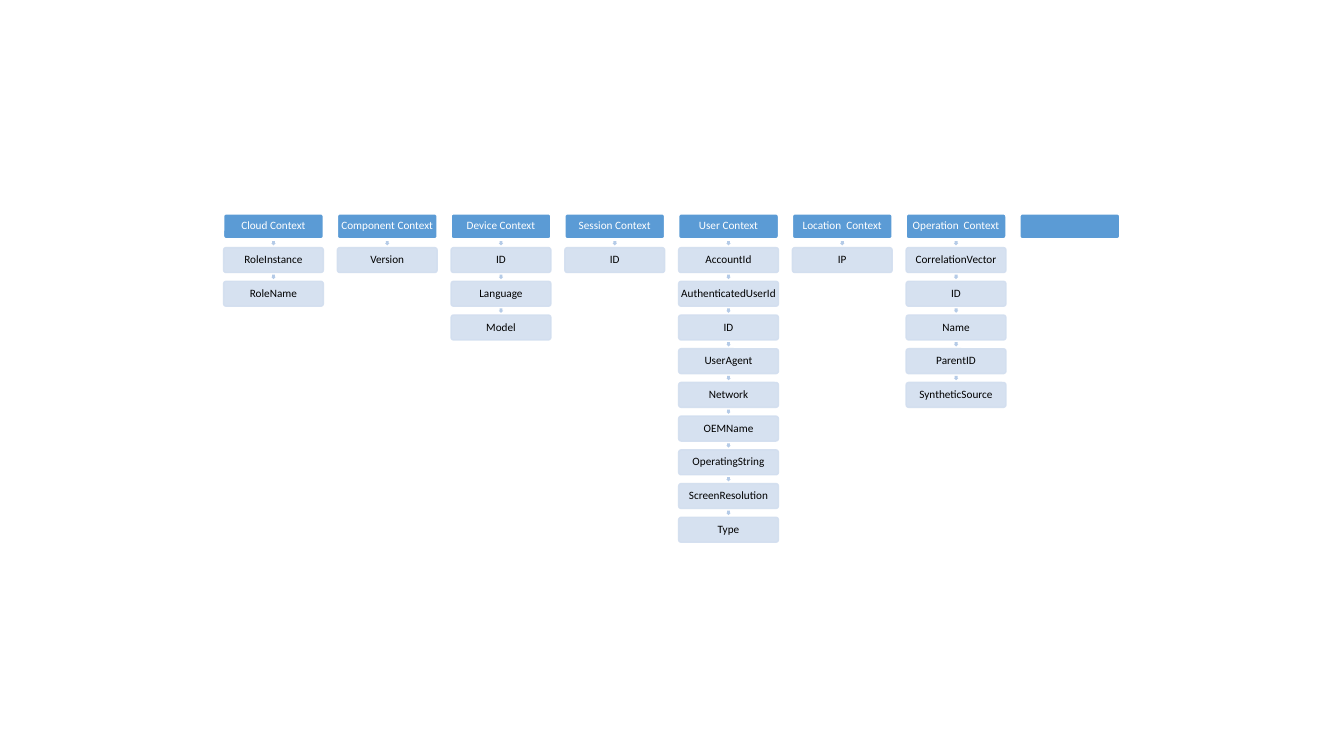
from lxml import etree
from pptx import Presentation
from pptx.dml.color import RGBColor
from pptx.enum.shapes import MSO_SHAPE
from pptx.enum.text import MSO_ANCHOR, PP_ALIGN
from pptx.oxml.ns import qn
from pptx.util import Pt

ROUNDED = MSO_SHAPE.ROUNDED_RECTANGLE
ARROW = MSO_SHAPE.RIGHT_ARROW
MIDDLE = MSO_ANCHOR.MIDDLE
CENTER = PP_ALIGN.CENTER

COLORS = {
    "header": "5B9BD5",
    "property": "D2DEEF",
    "arrow": "B5CBE7",
    "white": "FFFFFF",
    "black": "000000",
}

SLIDE_WIDTH, SLIDE_HEIGHT = 960, 540
LEFT, TOP = 159.7, 152.8
COLUMN_PITCH, ROW_PITCH = 81.26, 24.08
BOX_WIDTH, BOX_HEIGHT = 71.3, 17.8
ARROW_SIZE = 3.12

CONTEXTS = [
    ("Cloud Context", ["RoleInstance", "RoleName"]),
    ("Component Context", ["Version"]),
    ("Device Context", ["ID", "Language", "Model"]),
    ("Session Context", ["ID"]),
    ("User Context", ["AccountId", "AuthenticatedUserId", "ID", "UserAgent",
                      "Network", "OEMName", "OperatingString",
                      "ScreenResolution", "Type"]),
    ("Location  Context", ["IP"]),
    ("Operation  Context", ["CorrelationVector", "ID", "Name", "ParentID",
                            "SyntheticSource"]),
    ("", []),
]


def rgb(name):
    return RGBColor.from_string(COLORS[name])


def set_opacity(shape, percent):
    """Apply the opacity to both the fill and the outline."""
    for color in shape._element.spPr.iter(qn("a:srgbClr")):
        etree.SubElement(color, qn("a:alpha"), val=str(percent * 1000))


def write_text(shape, text, *, color, size=8, font="Calibri", margin=1):
    frame = shape.text_frame
    frame.word_wrap = True
    frame.vertical_anchor = MIDDLE
    frame.margin_left = frame.margin_right = Pt(margin)
    frame.margin_top = frame.margin_bottom = Pt(margin)
    paragraph = frame.paragraphs[0]
    paragraph.alignment = CENTER
    paragraph.line_spacing = 0.9
    run = paragraph.add_run()
    run.text = text
    run.font.name = font
    run.font.size = Pt(size)
    run.font.color.rgb = rgb(color)


def add_box(slide, left, top, text, *, fill, line, text_color, opacity=100):
    box = slide.shapes.add_shape(
        ROUNDED, Pt(left), Pt(top), Pt(BOX_WIDTH), Pt(BOX_HEIGHT))
    box.shadow.inherit = False
    box.adjustments[0] = 0.1
    box.fill.solid()
    box.fill.fore_color.rgb = rgb(fill)
    box.line.color.rgb = rgb(line)
    box.line.width = Pt(1)
    if opacity < 100:
        set_opacity(box, opacity)
    if text:
        write_text(box, text, color=text_color)


def add_down_arrow(slide, center_x, center_y):
    arrow = slide.shapes.add_shape(
        ARROW, Pt(center_x - ARROW_SIZE / 2), Pt(center_y - ARROW_SIZE / 2),
        Pt(ARROW_SIZE), Pt(ARROW_SIZE))
    arrow.shadow.inherit = False
    arrow.rotation = 90
    arrow.adjustments[0] = 0.667
    arrow.adjustments[1] = 0.5
    arrow.fill.solid()
    arrow.fill.fore_color.rgb = rgb("arrow")
    arrow.line.fill.background()


def add_context(slide, left, title, properties):
    """Draw a header with its chain of properties below."""
    add_box(slide, left, TOP, title,
            fill="header", line="white", text_color="white")
    gap = ROW_PITCH - BOX_HEIGHT
    for row, name in enumerate(properties, start=1):
        top = TOP + row * ROW_PITCH
        add_down_arrow(slide, left + BOX_WIDTH / 2, top - gap / 2)
        add_box(slide, left, top, name, fill="property", line="property",
                text_color="black", opacity=90)


def main():
    presentation = Presentation()
    presentation.slide_width = Pt(SLIDE_WIDTH)
    presentation.slide_height = Pt(SLIDE_HEIGHT)
    slide = presentation.slides.add_slide(presentation.slide_layouts[6])
    for column, (title, properties) in enumerate(CONTEXTS):
        add_context(slide, LEFT + column * COLUMN_PITCH, title, properties)
    presentation.save("out.pptx")


if __name__ == "__main__":
    main()
